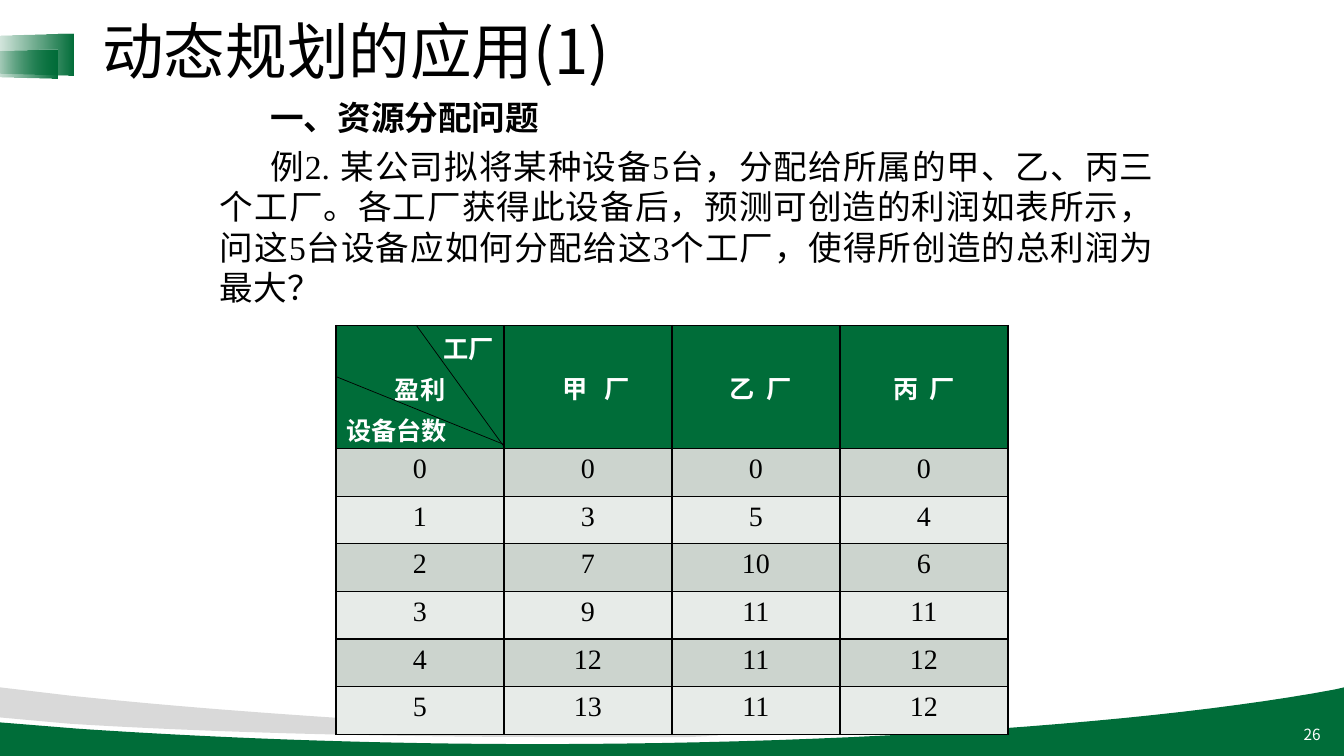
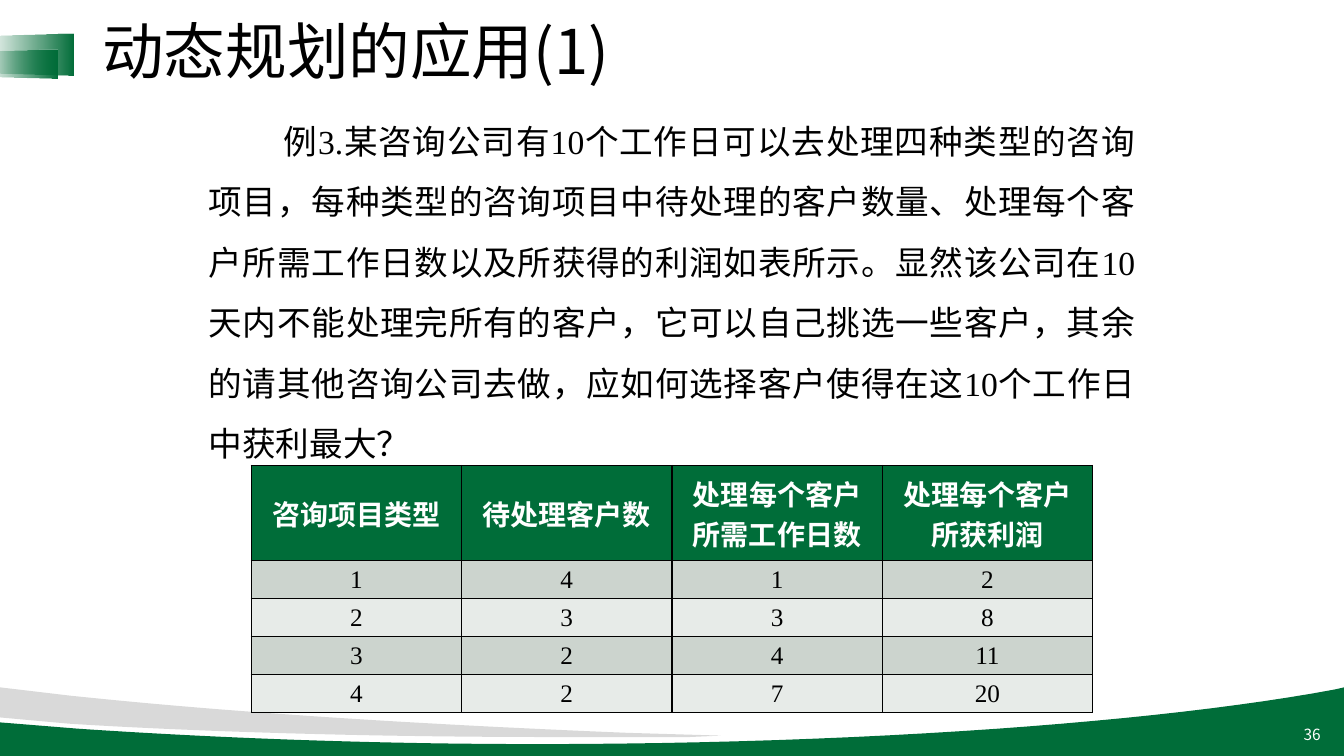
"""Build two slides on dynamic programming: resource allocation and choice of clients."""
from dataclasses import dataclass

from lxml import etree
from pptx import Presentation
from pptx.dml.color import RGBColor
from pptx.enum.shapes import MSO_CONNECTOR, MSO_SHAPE
from pptx.enum.text import MSO_ANCHOR, PP_ALIGN
from pptx.oxml import parse_xml
from pptx.oxml.ns import nsdecls, qn
from pptx.util import Pt

LEFT, CENTER, RIGHT, JUSTIFY = PP_ALIGN.LEFT, PP_ALIGN.CENTER, PP_ALIGN.RIGHT, PP_ALIGN.JUSTIFY
TOP, MIDDLE = MSO_ANCHOR.TOP, MSO_ANCHOR.MIDDLE
STRAIGHT, TRAPEZOID = MSO_CONNECTOR.STRAIGHT, MSO_SHAPE.TRAPEZOID


@dataclass(frozen=True)
class Theme:
    green: str = "006D39"
    grey: str = "D9D9D9"
    black: str = "000000"
    white: str = "FFFFFF"
    bands: tuple = ("CCD4CE", "E7EBE8")
    sans: str = "Noto Sans CJK SC"
    serif: str = "Times New Roman"
    title: int = 44
    body: int = 24
    number: int = 11


T = Theme()
W, H = 960, 540
TITLE = "动态规划的应用(1)"

GREEN_WAVE = [(960, 491), (960, 540), (0, 540), (0, 516), (55.5, 520.5),
              ((152.5, 527), (264, 531.5), (383, 531.5)),
              ((620.5, 531.5), (830, 515.5), (953.5, 492.5))]
GREY_WAVE = [(0, 491), (50.5, 497), ((165, 509), (300, 517.5), (448, 523.5)),
             (515, 525.5), (492.5, 526.5), (394.5, 526.5),
             ((260, 526.5), (138, 522.5), (49.5, 517)), (0, 512.5)]
TABS = [(5.8, 7.2, 29.5, 63.4), (4.3, 19.4, 20.9, 52.6)]

SLIDES = [
    dict(
        number="26",
        box=(150, 66, 681, 164), indent=36, spacing=1,
        paragraphs=[
            ("一、资源分配问题", True),
            ("例2. 某公司拟将某种设备5台，分配给所属的甲、乙、丙三个工厂。"
             "各工厂获得此设备后，预测可创造的利润如表所示，"
             "问这5台设备应如何分配给这3个工厂，使得所创造的总利润为最大？", False)],
        table=dict(
            at=(240, 232.5), col=120, head_row=88, row=34,
            head_size=18, size=20, anchor=TOP, pad=3.6,
            corner=[("工厂", RIGHT), ("盈利", CENTER), ("设备台数", LEFT)],
            diagonals=[((297.5, 232.5), (360, 319)), ((240, 269), (360, 317.5))],
            head=[("甲 厂", 12, 4), ("乙 厂", 7, 2), ("丙 厂", 0, 2)],
            rows=[(0, 0, 0, 0), (1, 3, 5, 4), (2, 7, 10, 6),
                  (3, 9, 11, 11), (4, 12, 11, 12), (5, 13, 11, 12)])),
    dict(
        number="36",
        box=(142, 68.4, 676, 261), indent=53.5, spacing=1.5,
        paragraphs=[
            ("例3.某咨询公司有10个工作日可以去处理四种类型的咨询项目，"
             "每种类型的咨询项目中待处理的客户数量、处理每个客户所需工作日数以及所获得的利润如表所示。"
             "显然该公司在10天内不能处理完所有的客户，它可以自己挑选一些客户，"
             "其余的请其他咨询公司去做，应如何选择客户使得在这10个工作日中获利最大？", False)],
        table=dict(
            at=(179.5, 332.5), col=150.25, head_row=68, row=27.2,
            head_size=20, size=18, anchor=MIDDLE, pad=2,
            corner=[], diagonals=[],
            head=[("咨询项目类型", 0, 0), ("待处理客户数", 0, 0),
                  ("处理每个客户所需工作日数", 0, 0), ("处理每个客户所获利润", 0, 0)],
            rows=[(1, 4, 1, 2), (2, 3, 3, 8), (3, 2, 4, 11), (4, 2, 7, 20)])),
]


def rgb(color):
    return RGBColor.from_string(color)


def add_run(p, text, size, color, font, bold=False, tracking=0):
    r = p.add_run()
    r.text = text
    r.font.size, r.font.bold = Pt(size), bold
    r.font.color.rgb = rgb(color)
    r.font.name = font
    rpr = r.font._element
    etree.SubElement(rpr, qn("a:ea")).set("typeface", T.sans)
    if tracking:
        rpr.set("spc", str(tracking * 100))


def paragraph(tf, i, align):
    p = tf.add_paragraph() if i else tf.paragraphs[0]
    p.alignment = align
    return p


def text_box(s, box, anchor=TOP):
    tf = s.shapes.add_textbox(*map(Pt, box)).text_frame
    tf.word_wrap, tf.vertical_anchor = True, anchor
    return tf


def outline(nodes, steps=24):
    """Turn points and Bezier segments into a list of points."""
    points = [nodes[0]]
    for node in nodes[1:]:
        if not isinstance(node[0], tuple):
            points.append(node)
            continue
        curve = (points[-1], *node)
        for k in range(1, steps + 1):
            t = k / steps
            weights = ((1 - t) ** 3, 3 * t * (1 - t) ** 2, 3 * t * t * (1 - t), t ** 3)
            points.append(tuple(sum(w * c[axis] for w, c in zip(weights, curve))
                                for axis in (0, 1)))
    return [(Pt(x), Pt(y)) for x, y in points]


def add_wave(s, nodes, color):
    start, *rest = outline(nodes)
    builder = s.shapes.build_freeform(*start)
    builder.add_line_segments(rest, close=True)
    sp = builder.convert_to_shape()
    sp.shadow.inherit = False
    sp.fill.solid()
    sp.fill.fore_color.rgb = rgb(color)
    sp.line.fill.background()


def add_tab(s, box):
    sp = s.shapes.add_shape(TRAPEZOID, *map(Pt, box))
    sp.rotation = 270
    sp.adjustments[0] = 0.07
    sp.shadow.inherit = False
    sp.line.fill.background()
    sp._element.spPr.find(qn("a:prstGeom")).addnext(parse_xml(
        f'<a:gradFill {nsdecls("a")} rotWithShape="0"><a:gsLst>'
        f'<a:gs pos="0"><a:srgbClr val="{T.green}"><a:alpha val="0"/></a:srgbClr></a:gs>'
        f'<a:gs pos="100000"><a:srgbClr val="{T.green}"/></a:gs>'
        '</a:gsLst><a:lin ang="0" scaled="0"/></a:gradFill>'))


def add_frame(s, number):
    add_wave(s, GREEN_WAVE, T.green)
    add_wave(s, GREY_WAVE, T.grey)
    for box in TABS:
        add_tab(s, box)
    tf = text_box(s, (735, 510.5, 215.5, 28.8), MIDDLE)
    add_run(paragraph(tf, 0, RIGHT), number, T.number, T.white, T.sans)
    tf = text_box(s, (66, 6.5, 828, 65), MIDDLE)
    p = paragraph(tf, 0, LEFT)
    p.line_spacing = 0.9
    add_run(p, TITLE, T.title, T.black, T.sans)


def add_body(s, slide):
    tf = text_box(s, slide["box"])
    for i, (text, bold) in enumerate(slide["paragraphs"]):
        p = paragraph(tf, i, JUSTIFY)
        p.line_spacing = float(slide["spacing"])
        p.space_before, p.space_after = Pt(3 if i else 0), Pt(3)
        p._p.get_or_add_pPr().set("indent", str(Pt(slide["indent"])))
        add_run(p, text, T.body, T.black, T.serif, bold)


def style_cell(cell, fill, anchor, pad):
    cell.vertical_anchor = anchor
    cell.margin_top = cell.margin_bottom = Pt(pad)
    tcpr = cell._tc.get_or_add_tcPr()
    for side in ("lnL", "lnR", "lnT", "lnB"):
        tcpr.append(parse_xml(
            f'<a:{side} {nsdecls("a")} w="{Pt(1)}"><a:solidFill>'
            f'<a:srgbClr val="{T.black}"/></a:solidFill></a:{side}>'))
    cell.fill.solid()
    cell.fill.fore_color.rgb = rgb(fill)


def add_diagonal(s, start, end):
    line = s.shapes.add_connector(STRAIGHT, *map(Pt, (*start, *end)))
    line.line.color.rgb, line.line.width = rgb(T.black), Pt(0.5)
    etree.SubElement(line._element.spPr, qn("a:effectLst"))


def add_grid(s, data):
    rows, cols = len(data["rows"]) + 1, len(data["rows"][0])
    size = (cols * data["col"], data["head_row"] + (rows - 1) * data["row"])
    table = s.shapes.add_table(rows, cols, *map(Pt, (*data["at"], *size))).table
    for column in table.columns:
        column.width = Pt(data["col"])
    for i, row in enumerate(table.rows):
        row.height = Pt(data["row"] if i else data["head_row"])

    if data["corner"]:
        cell = table.cell(0, 0)
        style_cell(cell, T.green, TOP, 3)
        cell.margin_bottom = 0
        for i, (text, align) in enumerate(data["corner"]):
            p = paragraph(cell.text_frame, i, align)
            p.space_before = Pt(3.2 if i else 0)
            add_run(p, text, data["head_size"], T.white, T.sans, True)

    for j, (text, shift, tracking) in enumerate(data["head"], cols - len(data["head"])):
        cell = table.cell(0, j)
        style_cell(cell, T.green, MIDDLE, 3.6)
        cell.margin_left = Pt(7.2 + shift)
        add_run(paragraph(cell.text_frame, 0, CENTER), text, data["head_size"],
                T.white, T.sans, True, tracking)

    for i, values in enumerate(data["rows"]):
        for j, value in enumerate(values):
            cell = table.cell(i + 1, j)
            style_cell(cell, T.bands[i % 2], data["anchor"], data["pad"])
            add_run(paragraph(cell.text_frame, 0, CENTER), str(value), data["size"],
                    T.black, T.serif)

    for start, end in data["diagonals"]:
        add_diagonal(s, start, end)


def main():
    prs = Presentation()
    prs.slide_width, prs.slide_height = Pt(W), Pt(H)
    for slide in SLIDES:
        s = prs.slides.add_slide(prs.slide_layouts[6])
        add_frame(s, slide["number"])
        add_body(s, slide)
        add_grid(s, slide["table"])
    prs.save("out.pptx")


if __name__ == "__main__":
    main()
